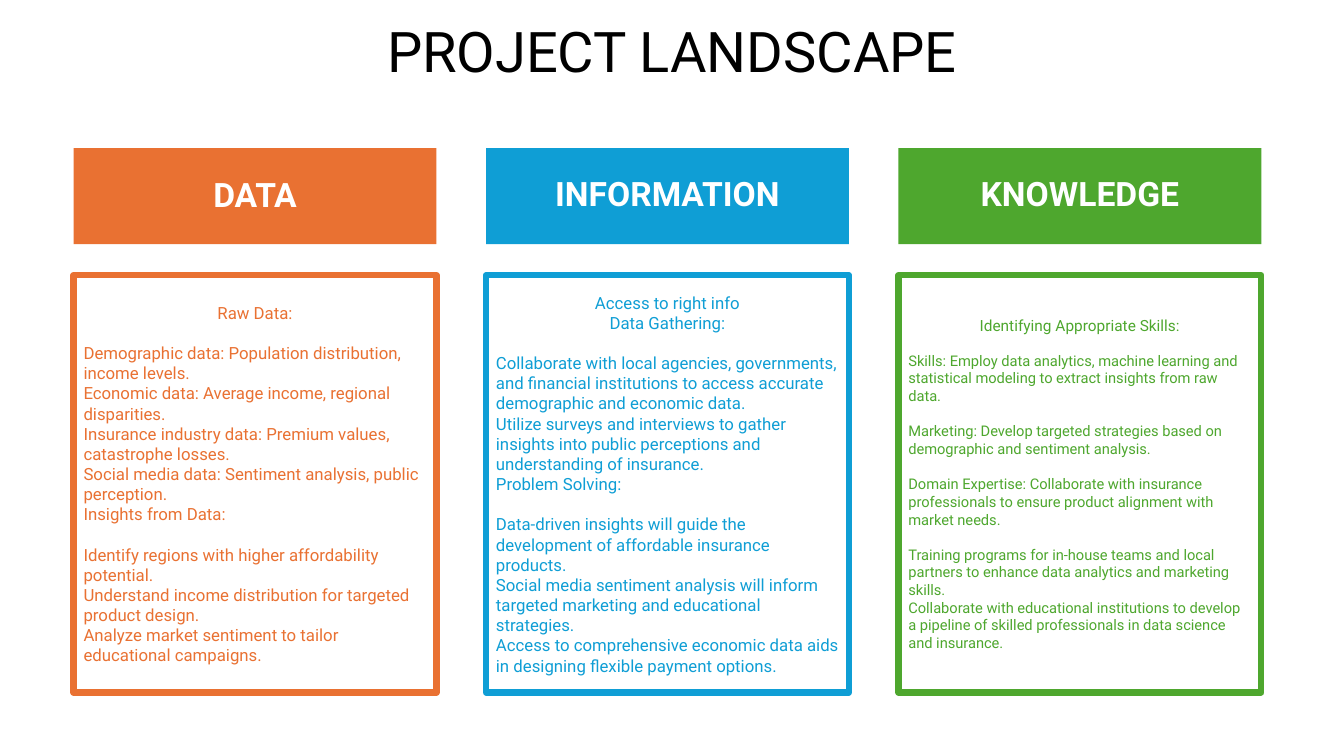
from pptx import Presentation
from pptx import util as u
from pptx.dml import color
from pptx.enum import shapes, text

FONT = "Roboto"
WHITE, BLACK = "FFFFFF", "000000"
CENTER, LEFT = text.PP_ALIGN.CENTER, text.PP_ALIGN.LEFT

COLUMNS_LEFT, COLUMN_WIDTH, COLUMN_PITCH = 52.6, 259.2, 294.6
HEADER_TOP, HEADER_HEIGHT = 105.8, 68.6
CARD_TOP, CARD_HEIGHT = 196.6, 298

# Each column: heading, colour, text sizes, gaps, card title, groups of lines
COLUMNS = [
    dict(heading="DATA", hue="E97132", title_size=12, body_size=12,
         title_gap=14.4, group_gap=14.4, card_title="Raw Data:",
         groups=[
             ["Demographic data: Population distribution, income levels.",
              "Economic data: Average income, regional disparities.",
              "Insurance industry data: Premium values, catastrophe losses.",
              "Social media data: Sentiment analysis, public perception.",
              "Insights from Data:"],
             ["Identify regions with higher affordability potential.",
              "Understand income distribution for targeted product design.",
              "Analyze market sentiment to tailor educational campaigns."]]),
    dict(heading="INFORMATION", hue="0F9ED5", title_size=12, body_size=12,
         title_gap=14.4, group_gap=14.4,
         card_title="Access to right info\nData Gathering:",
         groups=[
             ["Collaborate with local agencies, governments, and financial institutions "
              "to access accurate demographic and economic data.",
              "Utilize surveys and interviews to gather insights into public perceptions "
              "and understanding of insurance.",
              "Problem Solving:"],
             ["Data-driven insights will guide the development of affordable insurance "
              "products.",
              "Social media sentiment analysis will inform targeted marketing and "
              "educational strategies.",
              "Access to comprehensive economic data aids in designing flexible payment "
              "options."]]),
    dict(heading="KNOWLEDGE", hue="4EA72E", title_size=11, body_size=10.5,
         title_gap=12, group_gap=12.6, card_title="Identifying Appropriate Skills:",
         groups=[
             ["Skills: Employ data analytics, machine learning and statistical modeling "
              "to extract insights from raw data."],
             ["Marketing: Develop targeted strategies based on demographic and sentiment "
              "analysis."],
             ["Domain Expertise: Collaborate with insurance professionals to ensure "
              "product alignment with market needs."],
             ["Training programs for in-house teams and local partners to enhance data "
              "analytics and marketing skills.",
              "Collaborate with educational institutions to develop a pipeline of skilled "
              "professionals in data science and insurance."]]),
]


def rgb(hex_string):
    return color.RGBColor.from_string(hex_string)


def place(item, box):
    item.left, item.top, item.width, item.height = (u.Pt(v) for v in box)


def prepare_frame(item, anchor):
    frame = item.text_frame
    frame.word_wrap = True
    frame.auto_size = text.MSO_AUTO_SIZE.NONE
    frame.vertical_anchor = anchor
    return frame


def write(paragraph, words, size=12, hue=BLACK, bold=False, align=LEFT,
          line_spacing=1.0, before=0, after=0):
    paragraph.text = words
    paragraph.alignment = align
    paragraph.line_spacing = line_spacing
    paragraph.space_before, paragraph.space_after = u.Pt(before), u.Pt(after)
    for run in paragraph.runs:
        run.font.name, run.font.size, run.font.bold = FONT, u.Pt(size), bold
        run.font.color.rgb = rgb(hue)


def add_rectangle(slide, box):
    rectangle = slide.shapes.add_shape(
        shapes.MSO_SHAPE.RECTANGLE, *(u.Pt(v) for v in box))
    rectangle.shadow.inherit = False
    return rectangle


def build_title(slide, box):
    title = slide.shapes.title
    place(title, box)
    frame = prepare_frame(title, text.MSO_ANCHOR.BOTTOM)
    write(frame.paragraphs[0], "PROJECT LANDSCAPE", size=40, align=CENTER,
          line_spacing=0.9)


def build_header(header, box, column):
    place(header, box)
    header.fill.solid()
    header.fill.fore_color.rgb = rgb(column["hue"])
    header.line.fill.background()
    frame = prepare_frame(header, text.MSO_ANCHOR.MIDDLE)
    write(frame.paragraphs[0], column["heading"], size=24, hue=WHITE, bold=True,
          align=CENTER, line_spacing=0.9, before=10)


def build_card(slide, box, column):
    card = add_rectangle(slide, box)
    card.fill.solid()
    card.fill.fore_color.rgb = rgb(WHITE)
    card.line.color.rgb = rgb(column["hue"])
    card.line.width = u.Pt(4.5)
    frame = prepare_frame(card, text.MSO_ANCHOR.MIDDLE)
    write(frame.paragraphs[0], column["card_title"], size=column["title_size"],
          hue=column["hue"], align=CENTER, after=column["title_gap"])
    for number, group in enumerate(column["groups"]):
        for position, words in enumerate(group):
            opens_group = number > 0 and position == 0
            write(frame.add_paragraph(), words, size=column["body_size"],
                  hue=column["hue"],
                  before=column["group_gap"] if opens_group else 0)


def build_column(slide, left, column, header=None):
    header_box = (left, HEADER_TOP, COLUMN_WIDTH, HEADER_HEIGHT)
    build_header(header or add_rectangle(slide, header_box), header_box, column)
    build_card(slide, (left, CARD_TOP, COLUMN_WIDTH, CARD_HEIGHT), column)


def main():
    deck = Presentation()
    deck.slide_width, deck.slide_height = u.Pt(960), u.Pt(540)
    slide = deck.slides.add_slide(deck.slide_layouts[0])

    build_title(slide, (120, 12, 720, 52))

    # The subtitle placeholder serves as the first column's header
    headers = [slide.placeholders[1], None, None]
    for index, (column, header) in enumerate(zip(COLUMNS, headers)):
        build_column(slide, COLUMNS_LEFT + index * COLUMN_PITCH, column, header)

    deck.save("out.pptx")


if __name__ == "__main__":
    main()
